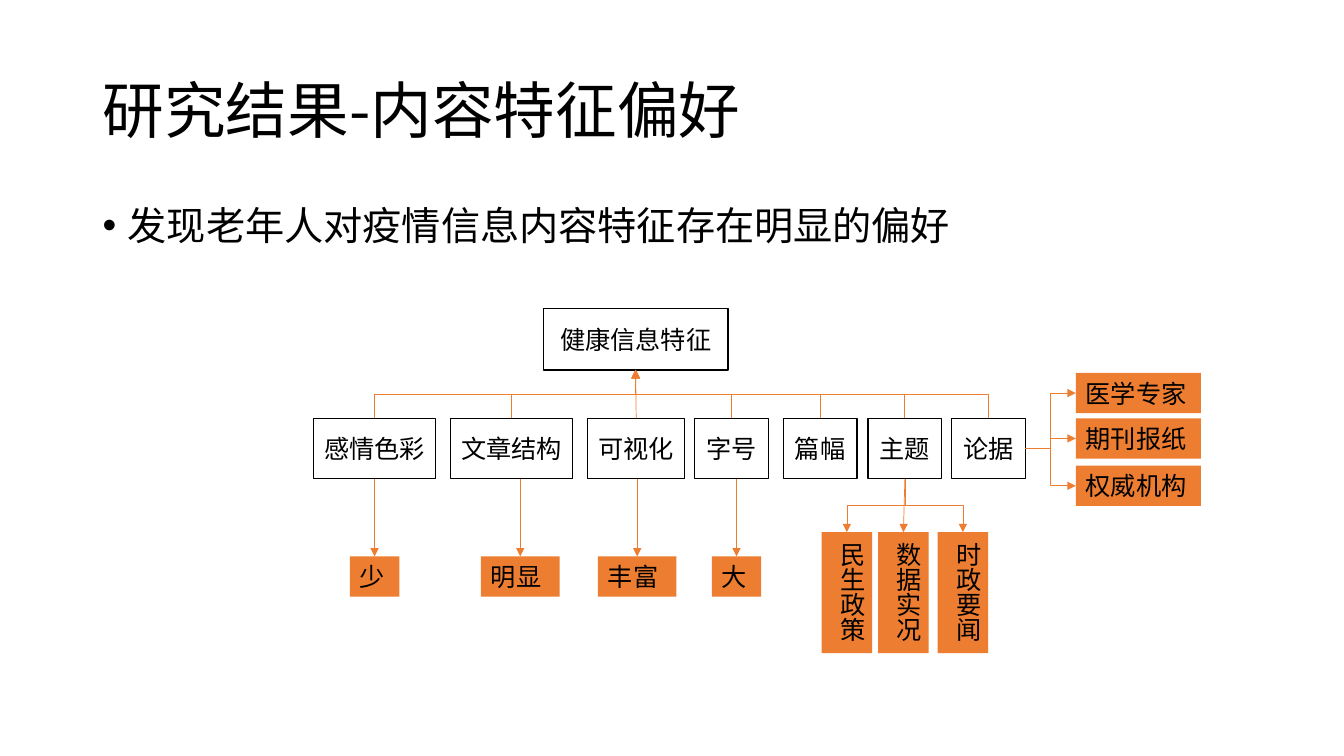
"""Builds the slide on preferred content features of health information."""
import dataclasses
import typing

import pptx
import pptx.dml.color
import pptx.enum.shapes
import pptx.enum.text
import pptx.oxml
import pptx.oxml.ns
import pptx.util

Inches = pptx.util.Inches
Pt = pptx.util.Pt
Color = pptx.dml.color.RGBColor
Align = pptx.enum.text.PP_ALIGN
Anchor = pptx.enum.text.MSO_ANCHOR
Link = pptx.enum.shapes.MSO_CONNECTOR


@dataclasses.dataclass(frozen=True)
class Theme:
    font: str = "Noto Sans CJK SC"
    ink: Color = Color(0, 0, 0)
    paper: Color = Color(255, 255, 255)
    accent: Color = Color(0xED, 0x7D, 0x31)
    title: Pt = Pt(44)
    body: Pt = Pt(28)
    label: Pt = Pt(18)
    outline: Pt = Pt(1)
    link: Pt = Pt(0.5)


@dataclasses.dataclass(frozen=True)
class Node:
    text: str
    left: float
    top: float
    width: float
    height: float
    leaf: bool = False
    upright: bool = False

    @property
    def center(self) -> float:
        return self.left + self.width / 2

    @property
    def middle(self) -> float:
        return self.top + self.height / 2

    @property
    def right(self) -> float:
        return self.left + self.width

    @property
    def bottom(self) -> float:
        return self.top + self.height


THEME = Theme()
NODE_TOP, NODE_HEIGHT = 4.15, 0.6
LEAF_TOP, LEAF_HEIGHT = 5.52, 0.4

ROOT = Node("健康信息特征", 5.39, 3.06, 1.83, 0.61)
FEATURES = [
    Node(text, left, NODE_TOP, width, NODE_HEIGHT)
    for text, left, width in [
        ("感情色彩", 3.11, 1.21), ("文章结构", 4.47, 1.21), ("可视化", 5.83, 0.96),
        ("字号", 6.89, 0.73), ("篇幅", 7.77, 0.73), ("主题", 8.61, 0.73), ("论据", 9.44, 0.73),
    ]
]
TOPIC, EVIDENCE = FEATURES[5:]
PREFERENCES = [
    Node(text, left, LEAF_TOP, width, LEAF_HEIGHT, leaf=True)
    for text, left, width in [
        ("少", 3.47, 0.49), ("明显", 4.77, 0.78), ("丰富", 5.93, 0.78), ("大", 7.06, 0.49),
    ]
]
TOPICS = [
    Node(text, left, 5.28, 0.5, 1.2, leaf=True, upright=True)
    for text, left in [("民生政策", 8.15), ("数据实况", 8.71), ("时政要闻", 9.3)]
]
SOURCES = [
    Node(text, 10.67, top, 1.24, LEAF_HEIGHT, leaf=True)
    for text, top in [("医学专家", 3.7), ("期刊报纸", 4.15), ("权威机构", 4.62)]
]


def apply(target: typing.Any, values: dict[str, typing.Any]) -> None:
    """Set every named attribute on the target."""
    for name, value in values.items():
        setattr(target, name, value)


def write(box: typing.Any, text: str, size: Pt, anchor: Anchor, **layout: typing.Any) -> typing.Any:
    """Put one styled paragraph in a box and return it."""
    frame = box.text_frame
    apply(frame, {"word_wrap": True, "vertical_anchor": anchor})
    para = frame.paragraphs[0]
    apply(para, {"alignment": Align.LEFT, **layout})
    span = para.add_run()
    span.text = text
    apply(span.font, {"size": size, "name": THEME.font})
    span.font.color.rgb = THEME.ink
    east = pptx.oxml.parse_xml(f'<a:ea {pptx.oxml.ns.nsdecls("a")} typeface="{THEME.font}"/>')
    span.font._element.append(east)
    return para


def draw_node(page: typing.Any, node: Node) -> None:
    """Draw an outlined feature or a filled leaf."""
    edges = [Inches(value) for value in (node.left, node.top, node.width, node.height)]
    box = page.shapes.add_shape(pptx.enum.shapes.MSO_SHAPE.RECTANGLE, *edges)
    box.shadow.inherit = False
    box.fill.solid()
    box.fill.fore_color.rgb = THEME.accent if node.leaf else THEME.paper
    if node.leaf:
        box.line.fill.background()
        write(box, node.text, THEME.label, Anchor.TOP)
    else:
        box.line.color.rgb = THEME.ink
        box.line.width = THEME.outline
        write(box, node.text, THEME.label, Anchor.MIDDLE, alignment=Align.CENTER)
    if node.upright:
        box.text_frame._txBody.bodyPr.set("vert", "eaVert")


def draw_arrow(page: typing.Any, x1: float, y1: float, x2: float, y2: float, down: bool = True) -> None:
    """Draw an arrow, bent halfway unless its ends line up; down means it leaves vertically."""
    straight = abs(x2 - x1) < 0.02
    kind = Link.STRAIGHT if straight else Link.ELBOW
    turned = down and not straight
    ends = (x1, y1, x2, y2)
    if turned:
        x, y, dx, dy = (x1 + x2) / 2, (y1 + y2) / 2, (x2 - x1) / 2, (y2 - y1) / 2
        ends = (x - dy, y + dx, x + dy, y - dx)
    arrow = page.shapes.add_connector(kind, *map(Inches, ends))
    if turned:
        arrow.rotation = 90
    arrow.line.color.rgb = THEME.accent
    arrow.line.width = THEME.link
    names = pptx.oxml.ns.nsdecls("a")
    arrow.line._get_or_add_ln().append(pptx.oxml.parse_xml(f'<a:tailEnd {names} type="triangle"/>'))
    arrow._element.spPr.append(pptx.oxml.parse_xml(f"<a:effectLst {names}/>"))


def draw_headings(page: typing.Any) -> None:
    """Draw the title and the bulleted finding."""
    left, width = Inches(0.92), Inches(11.5)
    title = page.shapes.add_textbox(left, Inches(0.4), width, Inches(1.45))
    write(title, "研究结果-内容特征偏好", THEME.title, Anchor.MIDDLE, line_spacing=0.9)
    body = page.shapes.add_textbox(left, Inches(2), width, Inches(0.7))
    para = write(body, "发现老年人对疫情信息内容特征存在明显的偏好", THEME.body, Anchor.TOP,
                 line_spacing=0.9, space_before=Pt(10))
    settings = para._p.get_or_add_pPr()
    settings.set("marL", str(Inches(0.25)))
    settings.set("indent", str(-Inches(0.25)))
    names = pptx.oxml.ns.nsdecls("a")
    for bullet in ('<a:buFont {} typeface="Arial"/>', '<a:buChar {} char="•"/>'):
        settings.append(pptx.oxml.parse_xml(bullet.format(names)))


def main() -> None:
    """Build and save the deck."""
    deck = pptx.Presentation()
    apply(deck, {"slide_width": Inches(13.33), "slide_height": Inches(7.5)})
    page = deck.slides.add_slide(deck.slide_layouts[6])
    draw_headings(page)
    for node in [ROOT, *FEATURES, *PREFERENCES, *TOPICS, *SOURCES]:
        draw_node(page, node)
    for feature in FEATURES:
        draw_arrow(page, feature.center, feature.top, ROOT.center, ROOT.bottom)
    for leaf in PREFERENCES:
        draw_arrow(page, leaf.center, NODE_TOP + NODE_HEIGHT, leaf.center, leaf.top)
    for leaf in TOPICS:
        draw_arrow(page, TOPIC.center, TOPIC.bottom, leaf.center, leaf.top)
    for leaf in SOURCES:
        draw_arrow(page, EVIDENCE.right, EVIDENCE.middle, leaf.left, leaf.middle, down=False)
    deck.save("out.pptx")


main()
